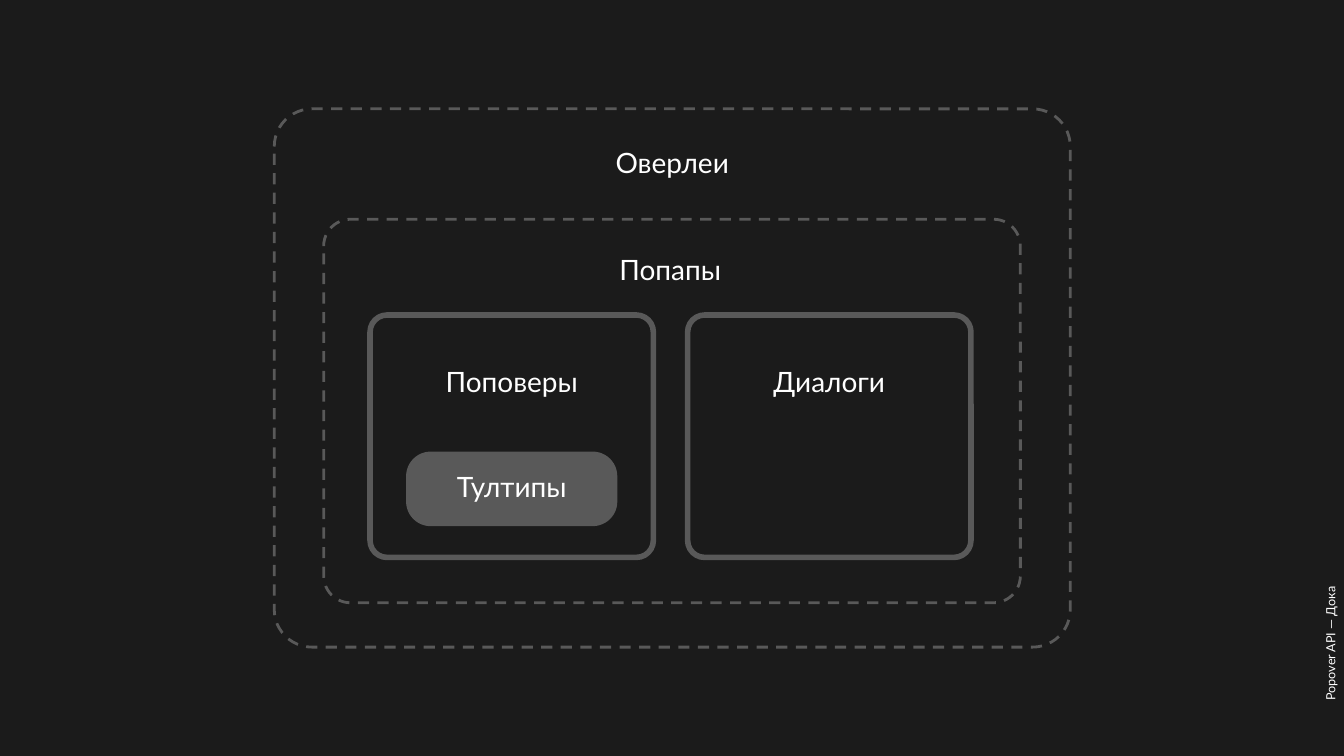
from dataclasses import dataclass

from pptx import Presentation
from pptx.dml.color import RGBColor
from pptx.enum.dml import MSO_LINE
from pptx.enum.shapes import MSO_SHAPE
from pptx.enum.text import MSO_ANCHOR, MSO_AUTO_SIZE, PP_ALIGN
from pptx.util import Pt


@dataclass(frozen=True)
class Theme:
    background: RGBColor = RGBColor(0x1B, 0x1B, 0x1B)
    gray: RGBColor = RGBColor(0x59, 0x59, 0x59)
    text: RGBColor = RGBColor(0xFF, 0xFF, 0xFF)
    font: str = "Lato"
    label_size: int = 40
    caption_size: int = 18
    dashed_width: int = 4
    solid_width: int = 8


THEME = Theme()
LABEL_W, LABEL_H = 301.68, 106.56
CARD_W, CARD_H, CARD_GAP = 404.64, 346.32, 48.96


def add_run(p, text, size):
    r = p.add_run()
    r.text = text
    r.font.name = THEME.font
    r.font.size = Pt(size)
    r.font.color.rgb = THEME.text


def add_rounded(s, box, radius):
    sp = s.shapes.add_shape(MSO_SHAPE.ROUNDED_RECTANGLE, *map(Pt, box))
    sp.adjustments[0] = radius
    sp.shadow.inherit = False
    sp.fill.background()
    sp.line.fill.background()
    return sp


def add_frame(s, box, dashed=False):
    sp = add_rounded(s, box, 0.07)
    sp.line.color.rgb = THEME.gray
    sp.line.width = Pt(THEME.dashed_width if dashed else THEME.solid_width)
    if dashed:
        sp.line.dash_style = MSO_LINE.DASH


def add_label(s, box, text, top, shift=0, filled=False):
    """Centre a label in the box, at a distance from its top edge."""
    x, y, w, _ = box
    sp = add_rounded(s, (x + (w - LABEL_W) / 2 + shift, y + top, LABEL_W, LABEL_H), 0.33)
    if filled:
        sp.fill.solid()
        sp.fill.fore_color.rgb = THEME.gray
    tf = sp.text_frame
    tf.word_wrap = True
    tf.vertical_anchor = MSO_ANCHOR.MIDDLE
    tf.margin_left = tf.margin_right = Pt(7.2)
    tf.margin_top = tf.margin_bottom = Pt(17.28)
    p = tf.paragraphs[0]
    p.alignment = PP_ALIGN.CENTER
    p.line_spacing = 0.9
    add_run(p, text, THEME.label_size)


def add_card(s, box, title, badge=None):
    if badge:
        add_label(s, box, badge, top=195.12, filled=True)
    add_frame(s, box)
    add_label(s, box, title, top=43.92)


def add_popups(s, box):
    add_frame(s, box, dashed=True)
    add_label(s, box, "Попапы", top=21.6, shift=-2.52)
    cards = [("Поповеры", "Тултипы"), ("Диалоги", None)]
    for i, (title, badge) in enumerate(cards):
        x = box[0] + 66.24 + i * (CARD_W + CARD_GAP)
        add_card(s, (x, box[1] + 136.8, CARD_W, CARD_H), title, badge)


def add_overlays(s, box):
    x, y, _, _ = box
    add_frame(s, box, dashed=True)
    add_label(s, box, "Оверлеи", top=25.92)
    add_popups(s, (x + 70.56, y + 157.68, 995.04, 547.92))


def add_caption(s, box, text):
    """Place text that reads upwards along the upright box."""
    x, y, w, h = box
    sp = s.shapes.add_textbox(Pt(x + (w - h) / 2), Pt(y + (h - w) / 2), Pt(h), Pt(w))
    sp.rotation = 270
    tf = sp.text_frame
    tf.word_wrap = True
    tf.auto_size = MSO_AUTO_SIZE.SHAPE_TO_FIT_TEXT
    add_run(tf.paragraphs[0], text, THEME.caption_size)


def main():
    prs = Presentation()
    prs.slide_width, prs.slide_height = Pt(1919.52), Pt(1080)
    s = prs.slides.add_slide(prs.slide_layouts[6])
    s.background.fill.solid()
    s.background.fill.fore_color.rgb = THEME.background

    # Side caption
    add_caption(s, (1885.68, 72, 28.8, 936), "Popover API — Дока")
    # Nested diagram
    add_overlays(s, (391.68, 155.52, 1136.88, 768.96))

    prs.save("out.pptx")


if __name__ == "__main__":
    main()
